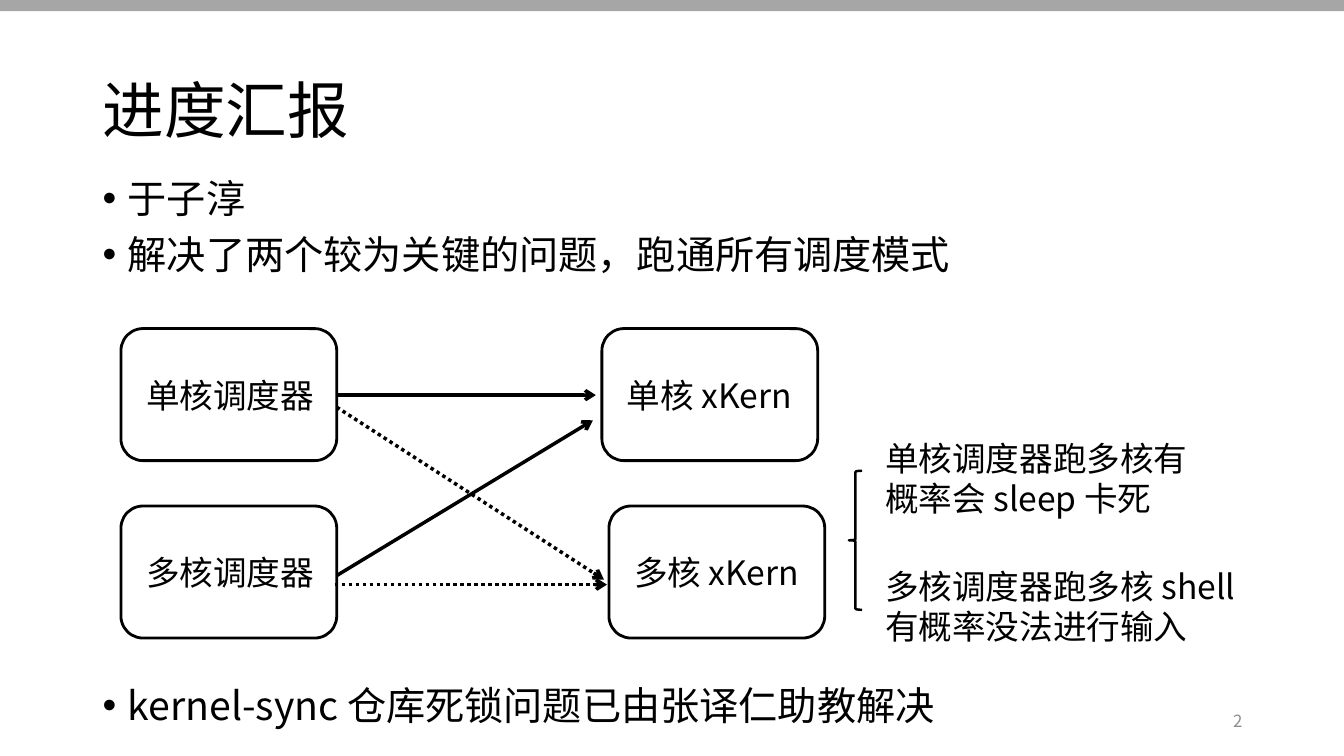
from pptx import Presentation
from pptx.util import Inches, Pt
from pptx.dml.color import RGBColor
from pptx.enum.dml import MSO_LINE as Dash
from pptx.enum.shapes import MSO_SHAPE as Shape, MSO_CONNECTOR as Conn
from pptx.enum.text import MSO_ANCHOR as Anchor, PP_ALIGN as Align
from pptx.oxml.ns import qn
from lxml.etree import SubElement

FONT = "Noto Sans CJK SC"
HUES = {"ink": "000000", "bar": "A6A6A6", "page": "8C8C8C"}


def hue(name):
    return RGBColor.from_string(HUES[name])


def text(slide, box, lines, size, color="ink", anchor=Anchor.TOP,
         align=Align.LEFT, space=None, bullet=False):
    frame = slide.shapes.add_textbox(*map(Inches, box)).text_frame
    frame.word_wrap = True
    frame.vertical_anchor = anchor
    frame.text = "\n".join(lines)
    for para in frame.paragraphs:
        para.alignment = align
        if space:
            para.line_spacing = space
        if bullet:
            para.space_before = Pt(10)
            props = para._p.get_or_add_pPr()
            props.set("marL", str(Inches(0.25)))
            props.set("indent", str(Inches(-0.25)))
            SubElement(props, qn("a:buFont")).set("typeface", "Arial")
            SubElement(props, qn("a:buChar")).set("char", "•")
        for run in para.runs:
            run.font.size = Pt(size)
            run.font.name = FONT
            run.font.color.rgb = hue(color)
            SubElement(run._r.get_or_add_rPr(), qn("a:ea")).set("typeface", FONT)


def outline(slide, kind, box, width):
    shape = slide.shapes.add_shape(kind, *map(Inches, box))
    shape.shadow.inherit = False
    shape.fill.background()
    shape.line.color.rgb = hue("ink")
    shape.line.width = Pt(width)


def node(slide, left, top, label):
    outline(slide, Shape.ROUNDED_RECTANGLE, (left, top, 2.14, 1.31), 2)
    text(slide, (left + 0.15, top + 0.41, 2.49, 0.5), [label], 24)


def arrow(slide, start, end, dotted=False):
    link = slide.shapes.add_connector(Conn.STRAIGHT, *map(Inches, start + end))
    link.line.color.rgb = hue("ink")
    link.line.width = Pt(2.5)
    if dotted:
        link.line.dash_style = Dash.ROUND_DOT
    props = link._element.spPr
    SubElement(props.find(qn("a:ln")), qn("a:tailEnd")).set("type", "arrow")
    SubElement(props, qn("a:effectLst"))


def header(slide, left, top, width):
    bar = slide.shapes.add_shape(Shape.RECTANGLE, 0, 0, Inches(13.33), Inches(0.11))
    bar.shadow.inherit = False
    bar.fill.solid()
    bar.fill.fore_color.rgb = hue("bar")
    bar.line.fill.background()
    text(slide, (left, top, width, 1.45), ["进度汇报"], 44,
         anchor=Anchor.MIDDLE, space=0.9)


def points(slide, left, top, width, height, lines):
    text(slide, (left, top, width, height), lines, 28, space=0.9, bullet=True)


def diagram(slide, left, top):
    low = top + 1.76
    # Boxes
    node(slide, left, top, "单核调度器")
    node(slide, left, low, "多核调度器")
    node(slide, left + 4.77, top, "单核 xKern")
    node(slide, left + 4.84, low, "多核 xKern")
    # Arrows
    edge = left + 2.14
    arrow(slide, (edge, top + 0.66), (left + 4.71, top + 0.66))
    arrow(slide, (edge, top + 2.45), (left + 4.68, top + 0.91))
    arrow(slide, (edge, top + 0.78), (left + 4.79, top + 2.49), True)
    arrow(slide, (edge - 0.02, top + 2.54), (left + 4.82, top + 2.54), True)


def remarks(slide, left, top):
    outline(slide, Shape.LEFT_BRACE, (left, top + 0.38, 0.13, 1.38), 1.75)
    text(slide, (left + 0.26, top, 3.33, 0.91), ["单核调度器跑多核有概率会 sleep 卡死"], 24)
    text(slide, (left + 0.26, top + 1.27, 3.78, 0.91),
         ["多核调度器跑多核 shell 有概率没法进行输入"], 24)


def footer(slide, left, top):
    text(slide, (left, top, 3, 0.4), ["2"], 12, "page", Anchor.MIDDLE, Align.RIGHT)


deck = Presentation()
deck.slide_width, deck.slide_height = Inches(13.33), Inches(7.5)
page = deck.slides.add_slide(deck.slide_layouts[6])
header(page, 0.92, 0.4, 11.5)
points(page, 0.92, 1.73, 12.04, 1.2,
       ["于子淳", "解决了两个较为关键的问题，跑通所有调度模式"])
points(page, 0.92, 6.76, 12.04, 0.7, ["kernel-sync 仓库死锁问题已由张译仁助教解决"])
footer(page, 9.42, 6.95)
diagram(page, 1.2, 3.26)
remarks(page, 8.42, 4.29)
deck.save("out.pptx")
